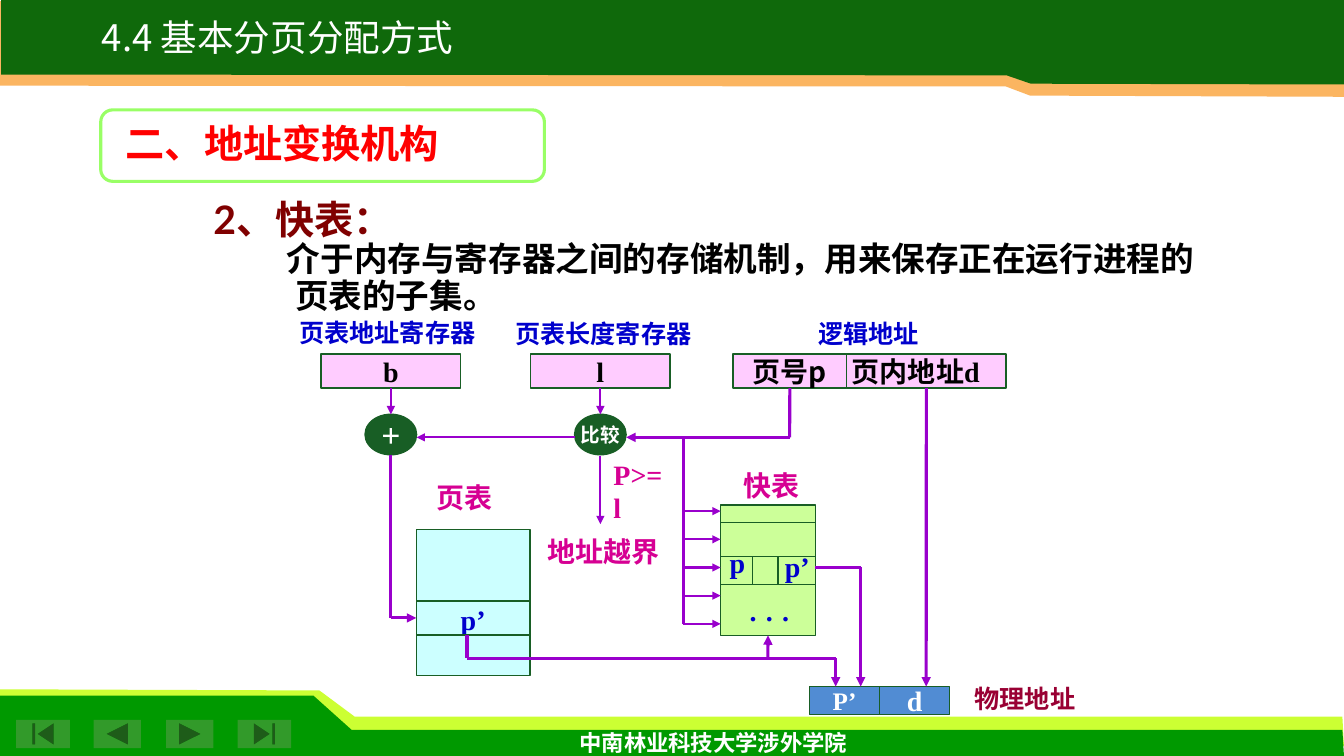
from lxml.etree import SubElement
from pptx import Presentation
from pptx.dml.color import RGBColor
from pptx.enum.lang import MSO_LANGUAGE_ID
from pptx.enum.shapes import MSO_CONNECTOR, MSO_SHAPE
from pptx.enum.text import MSO_ANCHOR, PP_ALIGN
from pptx.oxml.ns import qn
from pptx.util import Cm, Pt

SERIF = "Times New Roman"
SANS = "Noto Sans CJK SC"
TEXT_FONT = "Lato"
EDGE = "185E25"
FLOW = "9900CC"
BLUE = "0000CC"
PINK = "D60093"
REGISTER = "FFCCFF"
WHITE = "FFFFFF"
BLACK = "000000"


def color(value):
    return RGBColor.from_string(value)


def style_span(span, size, ink, bold=True, font=SERIF, asian=TEXT_FONT):
    span.font.size = Pt(size)
    span.font.bold = bold
    span.font.name = font
    span.font.color.rgb = color(ink)
    span.font.language_id = MSO_LANGUAGE_ID.SIMPLIFIED_CHINESE
    properties = span.font._element
    SubElement(properties, qn("a:ea")).set("typeface", asian)


def add_outline(page, points, fill):
    corners = [(Cm(x), Cm(y)) for x, y in points]
    builder = page.shapes.build_freeform(*corners[0], scale=1)
    builder.add_line_segments(corners[1:], close=True)
    paint(builder.convert_to_shape(), fill)


def paint(box, fill, line=None, width=1):
    box.shadow.inherit = False
    box.fill.solid()
    box.fill.fore_color.rgb = color(fill)
    if line:
        box.line.color.rgb = color(line)
        box.line.width = Pt(width)
    else:
        box.line.fill.background()


def add_box(page, kind, place, fill, line=EDGE, width=1):
    box = page.shapes.add_shape(kind, *map(Cm, place))
    paint(box, fill, line, width)
    return box


def add_node(page, kind, place, fill, text, size, ink,
             align=PP_ALIGN.CENTER, **fonts):
    """A filled shape with one line of text in its middle."""
    box = add_box(page, kind, place, fill)
    frame = box.text_frame
    frame.text = text
    frame.word_wrap = False
    frame.vertical_anchor = MSO_ANCHOR.MIDDLE
    frame.margin_left = frame.margin_right = Cm(0.13)
    frame.paragraphs[0].alignment = align
    style_span(frame.paragraphs[0].runs[0], size, ink, **fonts)
    return box


def add_label(page, place, text, size, ink, align=PP_ALIGN.LEFT, wrap=True, **fonts):
    box = page.shapes.add_textbox(*map(Cm, place))
    box.text_frame.text = text
    box.text_frame.word_wrap = wrap
    para = box.text_frame.paragraphs[0]
    para.alignment = align
    style_span(para.runs[0], size, ink, **fonts)
    return box


def add_line(page, start, end, ink=EDGE, width=1, arrow=False):
    line = page.shapes.add_connector(
        MSO_CONNECTOR.STRAIGHT, *map(Cm, (*start, *end)))
    line.line.color.rgb = color(ink)
    line.line.width = Pt(width)
    if arrow:
        SubElement(line.line._get_or_add_ln(), qn("a:tailEnd")).set("type", "triangle")
    SubElement(line._element.spPr, qn("a:effectLst"))
    return line


def add_flow(page, points, width=2.25, source=None, target=None, arrow=True):
    """A chain of segments; source leaves by its bottom, target is entered there."""
    last = len(points) - 2
    for index, (start, end) in enumerate(zip(points, points[1:])):
        line = add_line(page, start, end, FLOW, width, arrow and index == last)
        if source and index == 0:
            line.begin_connect(source, 2)
        if target and index == last:
            line.end_connect(target, 2)


def add_frame(page):
    # Footer bands and navigation buttons
    add_outline(page, [(0, 18.8), (33.87, 18.8), (33.83, 18.06), (8.94, 18.06),
                       (8.05, 17.4), (0, 17.37)], "CCFF33")
    add_outline(page, [(0, 19.05), (33.87, 19.05), (33.83, 18.39), (8.86, 18.39),
                       (7.9, 17.53), (0, 17.53)], "009900")
    for kind, left, width in [
            (MSO_SHAPE.ACTION_BUTTON_BEGINNING, 0.41, 1.35),
            (MSO_SHAPE.ACTION_BUTTON_BACK_OR_PREVIOUS, 2.36, 1.19),
            (MSO_SHAPE.ACTION_BUTTON_FORWARD_OR_NEXT, 4.19, 1.19),
            (MSO_SHAPE.ACTION_BUTTON_END, 5.99, 1.35)]:
        add_box(page, kind, (left, 18.14, width, 0.71), "329A2A", None)
    add_label(page, (12.34, 18.26, 11.28, 0.79), "中南林业科技大学涉外学院",
              16, WHITE, PP_ALIGN.CENTER, font=TEXT_FONT)

    # Header bands and title
    add_outline(page, [(33.87, 0.03), (0, 0.03), (0, 2.16), (25.35, 2.18),
                       (25.96, 2.41), (33.87, 2.44)], "FBB561")
    add_outline(page, [(33.87, 0), (0.03, 0), (0.03, 1.88), (25.37, 1.9),
                       (25.98, 2.11), (33.87, 2.13)], "0F690B")
    title = add_label(page, (1.4, 0.46, 11.2, 1.17), "4.4 基本分页分配方式", 26.1, WHITE,
                      PP_ALIGN.CENTER, False, bold=False, font=SANS, asian=SANS)
    title.text_frame.paragraphs[0].line_spacing = 0.8


def add_intro(page):
    # Section heading
    heading = add_box(page, MSO_SHAPE.ROUNDED_RECTANGLE, (2.54, 2.77, 11.18, 1.8),
                      WHITE, "99FF66", 2.25)
    heading.adjustments[0] = 0.167
    add_label(page, (2.92, 2.87, 12.6, 1.45), "二、地址变换机构", 28, "FF0000")

    # Definition
    body = add_label(page, (5.13, 4.93, 25.81, 3.2), "2、快表：", 28, "800000",
                     font=TEXT_FONT)
    para = body.text_frame.add_paragraph()
    para.text = "介于内存与寄存器之间的存储机制，用来保存正在运行进程的页表的子集。"
    style_span(para.runs[0], 24, BLACK, font="Arial")
    indents = para._p.get_or_add_pPr()
    indents.set("marL", str(Cm(2.06)))
    indents.set("indent", str(Cm(-0.21)))
    for para in body.text_frame.paragraphs:
        para.line_spacing = 0.9


def add_diagram(page):
    rectangle, oval = MSO_SHAPE.RECTANGLE, MSO_SHAPE.OVAL

    # Registers and logical address
    for place, text in [((7.29, 7.87, 5.44, 1.02), "页表地址寄存器"),
                        ((12.73, 7.9, 5.21, 1.02), "页表长度寄存器"),
                        ((20.37, 7.9, 3.78, 1.02), "逻辑地址")]:
        add_label(page, place, text, 18, BLUE)
    base = add_node(page, rectangle, (8.09, 8.92, 3.52, 0.86), REGISTER, "b", 20, BLACK)
    length = add_node(page, rectangle, (13.37, 8.92, 3.52, 0.86), REGISTER, "l", 20, BLACK)
    number = add_node(page, rectangle, (18.47, 8.92, 2.87, 0.86), REGISTER, "页号p",
                      20, BLACK, font=SANS, asian=SANS)
    offset = add_node(page, rectangle, (21.34, 8.92, 4.01, 0.86), REGISTER, "页内地址d",
                      20, BLACK, PP_ALIGN.LEFT, asian=SANS)

    # Adder and comparator
    add_node(page, oval, (9.2, 10.44, 1.3, 1.02), EDGE, "+", 24, WHITE)
    add_node(page, oval, (14.48, 10.44, 1.3, 1.02), EDGE, "比较", 14, WHITE)
    add_label(page, (15.21, 11.4, 1.93, 1.12), "P>=l", 20, PINK, wrap=False)
    add_label(page, (13.54, 13.34, 3.4, 1.12), "地址越界", 20, PINK)

    # Page table
    add_label(page, (10.74, 11.99, 2.29, 1.12), "页表", 20, PINK)
    table = add_node(page, rectangle, (10.49, 13.34, 2.87, 3.68), "CCFFFF", "p’", 20, BLUE)
    table.text_frame.margin_top = Cm(1)
    for y in (15.14, 16):
        add_line(page, (10.49, y), (13.36, y))

    # Quick table
    add_label(page, (18.49, 11.68, 2.49, 1.12), "快表", 20, PINK)
    quick = add_box(page, rectangle, (18.16, 12.73, 2.39, 3.28), "CCFF99")
    for y in (13.16, 14.02, 14.73):
        add_line(page, (18.16, y), (20.55, y))
    for x in (18.97, 19.61):
        add_line(page, (x, 14.02), (x, 14.73))
    add_label(page, (18.14, 13.61, 0.79, 1.12), "p", 20, BLUE)
    add_label(page, (19.53, 13.72, 1.32, 1.12), "p’", 20, BLUE)
    for dot in range(3):
        add_label(page, (18.64 + 0.41 * dot, 14.83, 0.69, 1.12), ".", 20, BLUE, wrap=False)

    # Physical address
    add_node(page, rectangle, (20.4, 17.3, 1.77, 0.71), "518CD3", "P’", 18, WHITE)
    add_node(page, rectangle, (22.17, 17.3, 1.76, 0.71), "518CD3", "d", 20, WHITE)
    add_label(page, (24.31, 17.09, 3.63, 1.02), "物理地址", 18, "990033")

    # Flow through the registers
    add_flow(page, [(9.85, 9.78), (9.85, 10.44)], 1.5, source=base)
    add_flow(page, [(15.13, 9.78), (15.13, 10.44)], 1.5, source=length)
    add_flow(page, [(15.13, 11.48), (15.13, 13.21)], 1.5)
    add_flow(page, [(14.48, 11.02), (10.5, 11.02)], 1.5)
    add_flow(page, [(19.9, 9.78), (19.9, 11.02), (15.78, 11.02)], source=number)
    add_flow(page, [(9.85, 11.46), (9.85, 15.57), (10.49, 15.57)])

    # Search of all quick table rows at once
    add_flow(page, [(17.22, 11.02), (17.22, 15.72)], arrow=False)
    for row in range(5):
        y = 12.88 + 0.71 * row
        add_flow(page, [(17.22, y), (18.16, y)], 1.5)

    # Flow into the physical address
    add_flow(page, [(11.77, 16), (11.77, 16.59), (21.06, 16.59), (21.06, 17.3)])
    add_flow(page, [(19.35, 16.59), (19.35, 16.01)], target=quick)
    add_flow(page, [(20.55, 14.3), (21.69, 14.3), (21.69, 17.3)])
    add_flow(page, [(23.34, 9.78), (23.34, 17.3)], source=offset)


def main():
    deck = Presentation()
    deck.slide_width, deck.slide_height = Cm(33.87), Cm(19.05)
    page = deck.slides.add_slide(deck.slide_layouts[6])
    add_frame(page)
    add_intro(page)
    add_diagram(page)
    deck.save("out.pptx")


if __name__ == "__main__":
    main()
